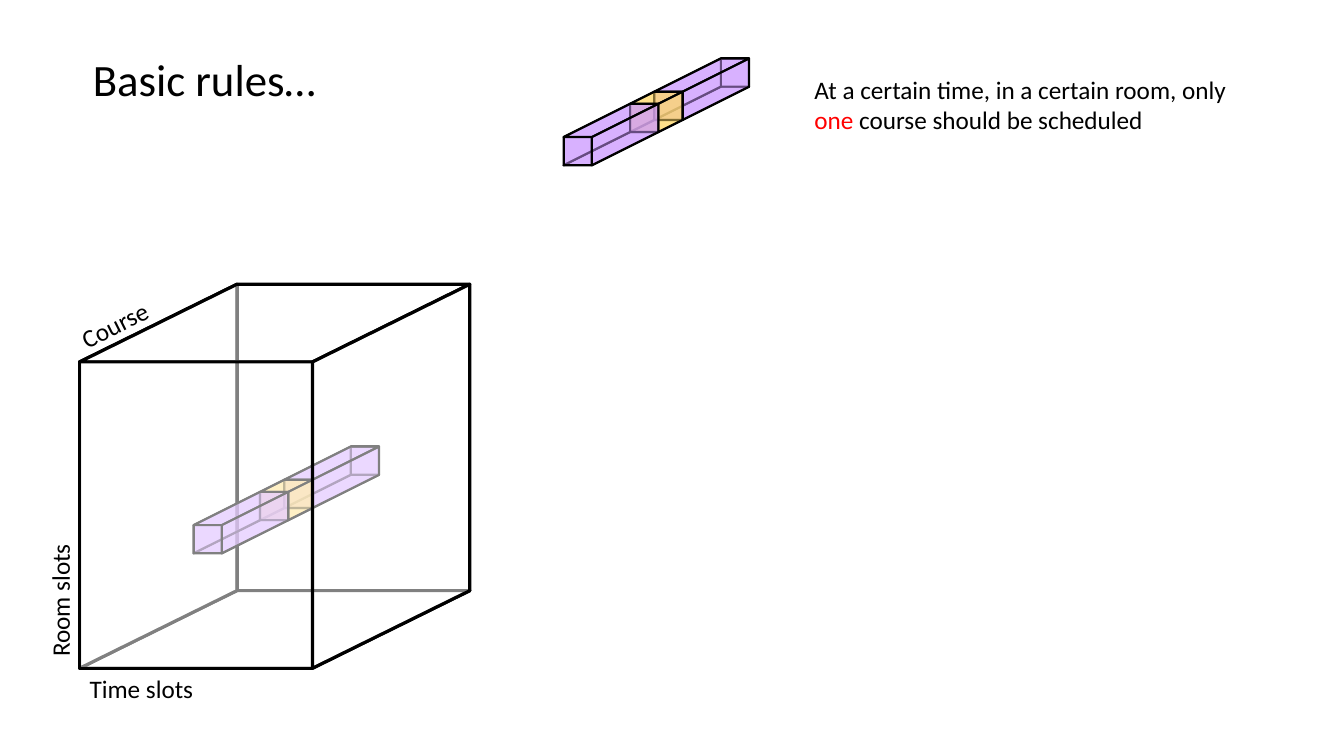
from dataclasses import dataclass

from lxml.etree import SubElement
from pptx import Presentation
from pptx.dml.color import RGBColor
from pptx.enum.shapes import MSO_SHAPE as Preset
from pptx.enum.text import MSO_ANCHOR as Anchor, MSO_AUTO_SIZE as AutoSize, PP_ALIGN as Align
from pptx.oxml.ns import qn
from pptx.util import Inches, Pt

COLORS = {
    "ink": "000000",
    "paper": "FFFFFF",
    "accent": "FF0000",
    "purple": "CC99FF",
    "yellow": "FFD966",
}
FONT = "Calibri"


@dataclass
class Cuboid:
    """A see-through cuboid: its front face, its depth offset and its look."""

    left: float
    top: float
    width: float
    height: float
    run: float
    rise: float
    color: str
    line: float = 1.5


def color_of(name):
    """Return the named colour."""
    return RGBColor.from_string(COLORS[name])


def add_face(shapes, preset, left, top, width, height, *, cuboid, opacity, slant=None, upright=False):
    """Add one translucent face, turned on its side if upright."""
    if upright:
        left, top = left + (width - height) / 2, top + (height - width) / 2
        width, height = height, width
    face = shapes.add_shape(preset, Inches(left), Inches(top), Inches(width), Inches(height))
    face.shadow.inherit = False
    face.fill.solid()
    face.fill.fore_color.rgb = color_of(cuboid.color)
    color = face.element.spPr.find(".//" + qn("a:srgbClr"))
    SubElement(color, qn("a:alpha"), val=str(opacity * 1000))
    face.line.color.rgb = color_of("ink")
    face.line.width = Pt(cuboid.line)
    if slant is not None:
        face.adjustments[0] = slant / min(width, height)
    if upright:
        face.rotation = 90
        face.element.spPr.get_or_add_xfrm().set("flipH", "1")


def add_half(shapes, cuboid, *, hidden, opacity=50):
    """Add the three hidden or the three visible faces of a cuboid."""
    box = cuboid
    upper = box.top - box.rise
    look = {"cuboid": box, "opacity": opacity}
    if hidden:
        square = box.left + box.run, upper
        level = upper + box.height
        side = box.left
    else:
        square = box.left, box.top
        level = upper
        side = box.left + box.width
    add_face(shapes, Preset.RECTANGLE, *square, box.width, box.height, **look)
    add_face(shapes, Preset.PARALLELOGRAM, box.left, level, box.width + box.run, box.rise,
             slant=box.run, **look)
    add_face(shapes, Preset.PARALLELOGRAM, side, upper, box.run, box.height + box.rise,
             slant=box.rise, upright=True, **look)


def add_bar(page, left, top):
    """Add a grouped course bar whose front corner is at left, top."""
    bar = page.shapes.add_group_shape()
    segments = (
        (0.9, -0.45, 0.66, 0.33, "purple"),
        (0.66, -0.33, 0.24, 0.12, "yellow"),
        (0, 0, 0.66, 0.33, "purple"),
    )
    for shift, drop, run, rise, color in segments:
        segment = Cuboid(left + shift, top + drop, 0.28, 0.28, run, rise, color)
        for hidden in (True, False):
            add_half(bar.shapes, segment, hidden=hidden)


def write(frame, *spans, size=18):
    """Write (text, colour) spans into a text frame as one paragraph."""
    frame.word_wrap = True
    frame.auto_size = AutoSize.SHAPE_TO_FIT_TEXT
    frame.vertical_anchor = Anchor.TOP
    para = frame.paragraphs[0]
    para.alignment = Align.LEFT
    for text, color in spans:
        span = para.add_run()
        span.text = text
        span.font.name = FONT
        span.font.size = Pt(size)
        span.font.color.rgb = color_of(color)


def add_text(page, left, top, width, height, *spans, rotation=0):
    """Add a text box made of coloured spans."""
    box = page.shapes.add_textbox(Inches(left), Inches(top), Inches(width), Inches(height))
    box.rotation = rotation
    write(box.text_frame, *spans)


def set_title(page, text):
    """Place and fill the title placeholder."""
    title = page.shapes.title
    title.left, title.top = Inches(0.82), Inches(0.46)
    title.width, title.height = Inches(4.53), Inches(0.64)
    write(title.text_frame, (text, "ink"), size=32)


def main():
    """Build the slide and save it."""
    deck = Presentation()
    deck.slide_width, deck.slide_height = Inches(13.33), Inches(7.5)
    page = deck.slides.add_slide(deck.slide_layouts[5])
    set_title(page, "Basic rules…")

    schedule = Cuboid(0.79, 3.59, 2.31, 3.04, 1.56, 0.77, "paper", 2.25)
    add_half(page.shapes, schedule, hidden=True, opacity=70)
    add_text(page, 0.79, 6.63, 1.74, 0.4, ("Time slots", "ink"))
    add_text(page, -0.27, 5.55, 1.73, 0.4, ("Room slots", "ink"), rotation=270)
    add_text(page, 0.64, 2.9, 1.46, 0.33, ("Course", "ink"), rotation=333.3)
    add_text(page, 7.98, 0.69, 4.53, 0.71,
             ("At a certain time, in a certain room, only ", "ink"),
             ("one", "accent"),
             (" course should be scheduled", "ink"))
    add_bar(page, 1.92, 5.21)
    add_half(page.shapes, schedule, hidden=False)
    add_bar(page, 5.59, 1.36)

    deck.save("out.pptx")


if __name__ == "__main__":
    main()
